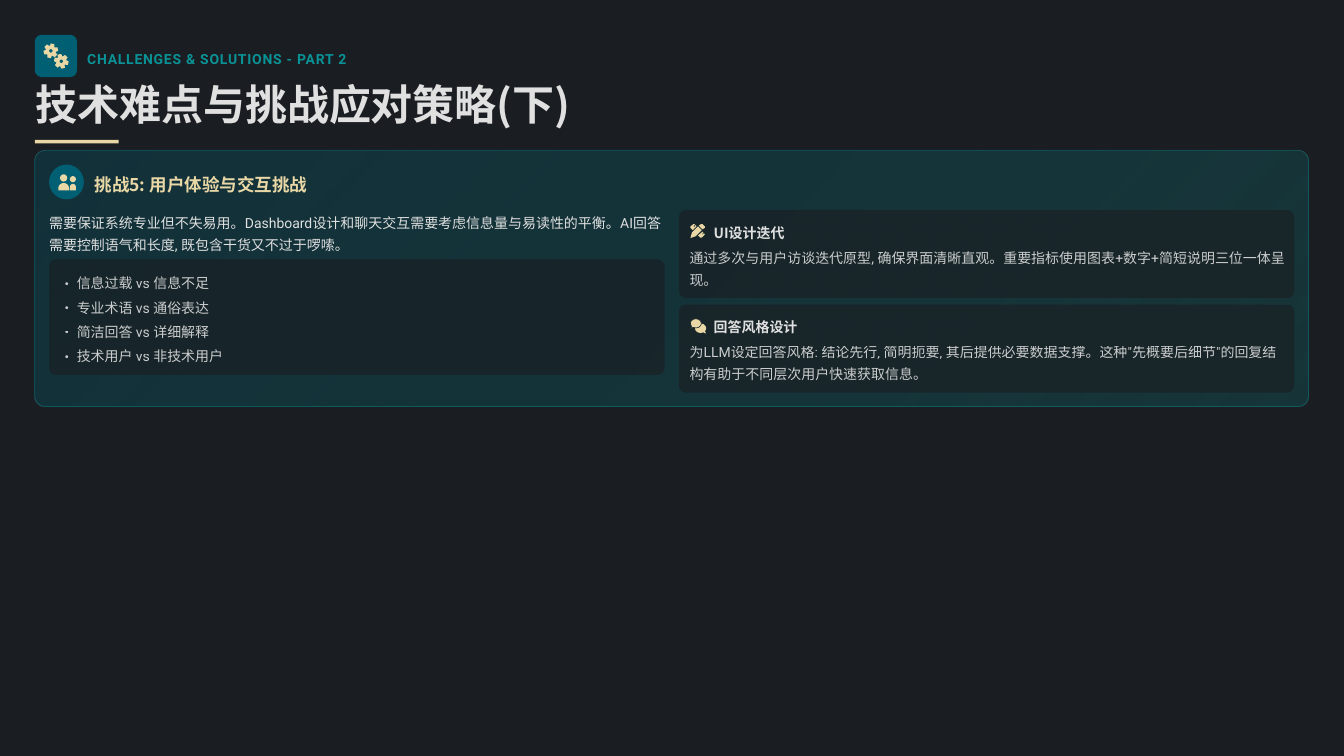
import math

from lxml import etree
from pptx import Presentation
from pptx import util as u
from pptx.dml.color import RGBColor
from pptx.enum import shapes, text
from pptx.oxml.ns import qn

Cm, Pt = u.Cm, u.Pt
Kind = shapes.MSO_SHAPE

INK = RGBColor(0x1A, 0x1D, 0x21)
PANEL_EDGE = RGBColor(0x19, 0x26, 0x2A)
DEEP_TEAL = RGBColor(0x00, 0x5F, 0x73)
TEAL = RGBColor(0x0A, 0x93, 0x96)
SAND = RGBColor(0xE9, 0xD8, 0xA6)
LIGHT = RGBColor(0xE0, 0xE0, 0xE0)
CJK, LATIN = "Noto Sans CJK SC", "Roboto"


def set_alpha(element, percent):
    for color in element.iter(qn("a:srgbClr")):
        etree.SubElement(color, qn("a:alpha")).set("val", str(percent * 1000))


def write(paragraph, content, size=13.3, font=LATIN, color=LIGHT, bold=False,
          line_spacing=1.3, spacing=None, alpha=None):
    paragraph.line_spacing = line_spacing
    run = paragraph.add_run()
    run.text = content
    run.font.size = Pt(size)
    run.font.name = font
    run.font.bold = bold
    run.font.color.rgb = color
    properties = run.font._element
    etree.SubElement(properties, qn("a:ea")).set("typeface", CJK)
    if spacing:
        properties.set("spc", str(int(spacing * 100)))
    if alpha:
        set_alpha(properties, alpha)


def polar(center, radius, degrees):
    angle = math.radians(degrees)
    return center[0] + radius * math.cos(angle), center[1] + radius * math.sin(angle)


def arc(center, radius, start=0, end=360, step=15):
    return [polar(center, radius, degrees) for degrees in range(start, end + 1, step)]


def gear(center, first_tooth):
    corners = ((-27, 0.17), (-14, 0.25), (14, 0.25), (27, 0.17))
    outline = [polar(center, radius, tooth + offset)
               for tooth in range(first_tooth, first_tooth + 360, 60)
               for offset, radius in corners]
    return [outline, arc(center, 0.06)[::-1]]


def person(center_x, head_y, head_radius, shoulder_y, shoulder_radius, base_y):
    shoulders = arc((center_x, shoulder_y), shoulder_radius, 180, 360)
    base = [(center_x + shoulder_radius, base_y), (center_x - shoulder_radius, base_y)]
    return [arc((center_x, head_y), head_radius), shoulders + base]


class Deck:
    """Holds the shared style and the current slide; lengths are in cm."""

    def __init__(self, slide):
        self.slide = slide
        background = slide.background.fill
        background.solid()
        background.fore_color.rgb = INK

    def shape(self, kind, left, top, width, height, color, alpha=None, adjust=()):
        shape = self.slide.shapes.add_shape(kind, Cm(left), Cm(top), Cm(width), Cm(height))
        for index, value in enumerate(adjust):
            shape.adjustments[index] = value
        return self.paint(shape, color, alpha)

    def paint(self, shape, color, alpha=None):
        shape.shadow.inherit = False
        shape.fill.solid()
        shape.fill.fore_color.rgb = color
        shape.line.fill.background()
        if alpha:
            set_alpha(shape._element.spPr, alpha)
        return shape

    def rounded(self, left, top, width, height, color, radius=0.23, alpha=None):
        return self.shape(Kind.ROUNDED_RECTANGLE, left, top, width, height, color,
                          alpha, [radius / min(width, height)])

    def outline(self, contours, color):
        contours = [[(Cm(x), Cm(y)) for x, y in contour] for contour in contours]
        builder = self.slide.shapes.build_freeform(*contours[0][0])
        for index, contour in enumerate(contours):
            if index:
                builder.move_to(*contour[0])
            builder.add_line_segments(contour[1:], close=True)
        return self.paint(builder.convert_to_shape(), color)

    def box(self, left, top, width, height):
        frame = self.slide.shapes.add_textbox(Cm(left), Cm(top), Cm(width), Cm(height)).text_frame
        frame.word_wrap = True
        frame.vertical_anchor = text.MSO_ANCHOR.MIDDLE
        frame.margin_left = frame.margin_top = frame.margin_right = frame.margin_bottom = 0
        return frame

    def text(self, left, top, width, height, content, **style):
        write(self.box(left, top, width, height).paragraphs[0], content, **style)

    def bullets(self, left, top, width, height, items, **style):
        frame = self.box(left, top, width, height)
        for index, item in enumerate(items):
            paragraph = frame.add_paragraph() if index else frame.paragraphs[0]
            write(paragraph, item, **style)
            if index:
                paragraph.space_before = Pt(2.4)
            properties = paragraph._p.get_or_add_pPr()
            indent = Cm(0.57)
            properties.set("marL", str(indent))
            properties.set("indent", str(-indent))
            etree.SubElement(properties, qn("a:buFont")).set("typeface", CJK)
            etree.SubElement(properties, qn("a:buChar")).set("char", "•")

    # Icons
    def design_icon(self, left, top):
        unit = 0.0254
        contours = (
            [(11, 2), (14, 0), (16, 0), (19, 3), (19, 5), (16, 7)],
            [(10, 3), (15, 8), (7, 16), (0, 18.5), (2, 11)],
            [(8, 3), (3, 8), (0, 5), (0, 3), (4, 0), (6, 0), (4, 3), (5, 4), (7, 1)],
            [(16, 10), (17, 11), (15, 14), (16, 14), (18, 12), (19, 14), (15, 18), (13, 18), (10, 15)],
        )
        self.outline([[(left + x * unit, top + y * unit) for x, y in contour]
                      for contour in contours], SAND)

    def chat_icon(self, left, top):
        self.shape(Kind.OVAL_CALLOUT, left + 0.15, top + 0.16, 0.38, 0.32, SAND, adjust=[0.48, 0.55])
        front = self.shape(Kind.OVAL_CALLOUT, left, top, 0.37, 0.31, SAND, adjust=[-0.48, 0.55])
        front.line.color.rgb = PANEL_EDGE
        front.line.width = Pt(0.6)


def main():
    presentation = Presentation()
    presentation.slide_width, presentation.slide_height = Cm(45.16), Cm(25.4)
    deck = Deck(presentation.slides.add_slide(presentation.slide_layouts[6]))

    # Header
    margin = 1.17
    deck.rounded(margin, margin, 1.42, 1.42, DEEP_TEAL)
    deck.outline(gear((1.71, 1.71), -75) + gear((2.06, 2.06), -105), SAND)
    deck.text(2.93, 1.55, 9.3, 0.71, "CHALLENGES & SOLUTIONS - PART 2",
              color=TEAL, bold=True, spacing=0.7)
    deck.text(1.19, 2.92, 43.51, 1.42, "技术难点与挑战应对策略(下)",
              size=40, font=CJK, bold=True, line_spacing=0.8)
    deck.shape(Kind.RECTANGLE, margin, 4.7, 2.82, 0.12, SAND)

    # Challenge card
    card = deck.rounded(margin, 5.05, 42.8, 8.61, DEEP_TEAL, radius=0.36)
    card.fill.gradient()
    card.fill.gradient_angle = 315
    for stop, color, alpha in zip(card.fill.gradient_stops, (DEEP_TEAL, TEAL), (30, 20)):
        stop.color.rgb = color
        set_alpha(stop._gs, alpha)
    card.line.color.rgb = TEAL
    card.line.width = Pt(0.67)
    set_alpha(card.line._ln, 40)

    # Card heading
    left, top, panel_width = 1.65, 7.06, 20.68
    deck.shape(Kind.OVAL, left, 5.53, 1.17, 1.17, DEEP_TEAL)
    deck.outline(person(2.14, 5.98, 0.12, 6.33, 0.18, 6.4)
                 + person(2.45, 6.02, 0.1, 6.28, 0.1, 6.4), SAND)
    deck.text(3.18, 5.69, 11.6, 0.86, "挑战5: 用户体验与交互挑战",
              size=16.7, font=CJK, color=SAND, bold=True, line_spacing=1.2)

    # Left column: problem
    deck.text(left, top, 20.9, 1.42,
              "需要保证系统专业但不失易用。Dashboard设计和聊天交互需要考虑信息量与易读性的平衡。"
              "AI回答需要控制语气和长度, 既包含干货又不过于啰嗦。")
    deck.rounded(left, 8.71, panel_width, 3.89, INK, alpha=60)
    deck.bullets(left + 0.36, 9.07, 20.19, 3.17,
                 ["信息过载 vs 信息不足", "专业术语 vs 通俗表达",
                  "简洁回答 vs 详细解释", "技术用户 vs 非技术用户"], alpha=90)

    # Right column: solutions
    solutions = [
        (deck.design_icon, "UI设计迭代",
         "通过多次与用户访谈迭代原型, 确保界面清晰直观。重要指标使用图表+数字+简短说明三位一体呈现。"),
        (deck.chat_icon, "回答风格设计",
         "为LLM设定回答风格: 结论先行, 简明扼要, 其后提供必要数据支撑。"
         "这种\"先概要后细节\"的回复结构有助于不同层次用户快速获取信息。"),
    ]
    left = 22.81
    for index, (icon, heading, body) in enumerate(solutions):
        panel_top = top + index * 3.18
        deck.rounded(left, panel_top, panel_width, 2.95, INK, alpha=60)
        icon(left + 0.39, panel_top + 0.47)
        deck.text(left + 1.17, panel_top + 0.36, 6, 0.63, heading, font=CJK, bold=True)
        deck.text(left + 0.36, panel_top + 1.17, 20.19, 1.42, body, alpha=90)

    presentation.save("out.pptx")


if __name__ == "__main__":
    main()
